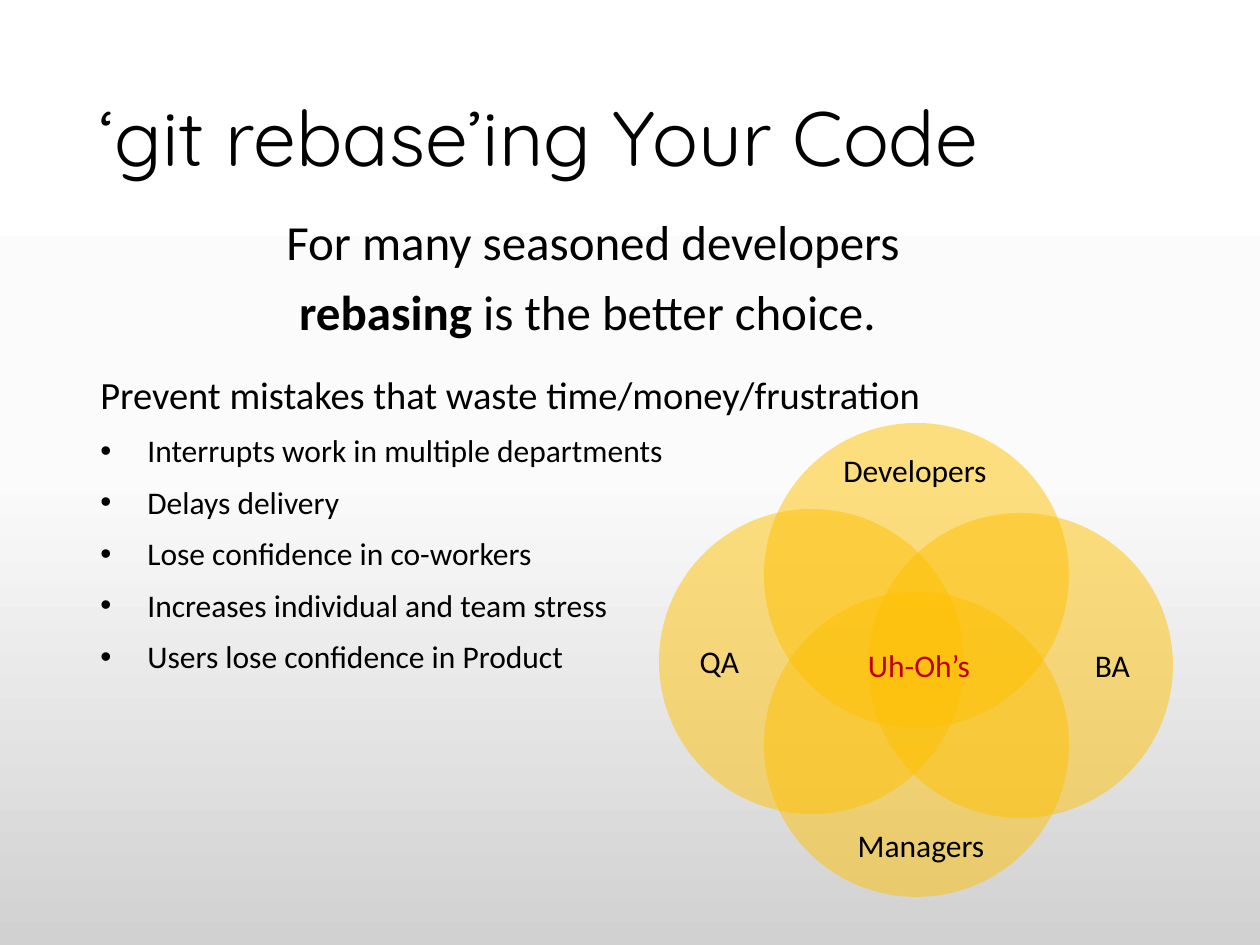
from copy import deepcopy
from pptx import Presentation
from pptx.dml.color import RGBColor as Rgb
from pptx.enum.shapes import MSO_SHAPE as Kind
from pptx.enum.text import MSO_ANCHOR as Anchor, MSO_AUTO_SIZE as Auto, PP_ALIGN as Align
from pptx.oxml.ns import qn
from pptx.oxml.xmlchemy import OxmlElement as Tag
from pptx.util import Pt

SCALE = 914400 / 126
HUES = {"ink": "000000", "alert": "C00000", "gold": "FFC000",
        "top": "FFFFFF", "mid": "FBFBFB", "low": "D1D1D1"}


def emu(px):
    return round(px * SCALE)


def hue(name):
    return Rgb.from_string(HUES[name])


def write(frame, text, size=18, font="Calibri", color="ink", lead="",
          align=Align.LEFT, line=None, before=0, hang=0):
    first = frame.paragraphs[0]
    para = frame.add_paragraph() if first.runs else first
    para.alignment = align
    para.space_before = Pt(before)
    if line:
        para.line_spacing = line
    for part, bold in ((lead, True), (text, False)):
        if part:
            run = para.add_run()
            run.text = part
            run.font.name, run.font.size, run.font.bold = font, Pt(size), bold
            run.font.color.rgb = hue(color)
    if hang:
        props = para._p.get_or_add_pPr()
        props.set("marL", str(emu(hang)))
        props.set("indent", str(-emu(hang)))
        face = Tag("a:buFont")
        face.set("typeface", "Arial")
        mark = Tag("a:buChar")
        mark.set("char", "•")
        props.extend([face, mark])


class Deck:
    """Holds the style and the current slide."""

    def __init__(self, wide, high):
        self.file = Presentation()
        self.file.slide_width, self.file.slide_height = emu(wide), emu(high)
        self.slide = self.file.slides.add_slide(self.file.slide_layouts[6])

    def shade(self, stops):
        fill = self.slide.background.fill
        fill.gradient()
        fill.gradient_angle = 270
        first = fill.gradient_stops[0]._gs
        first.addnext(deepcopy(first))
        for stop, (spot, name) in zip(fill.gradient_stops, stops):
            stop.color.rgb = hue(name)
            stop.position = spot

    def box(self, x, y, w, h, anchor=Anchor.TOP, grow=False):
        frame = self.slide.shapes.add_textbox(*map(emu, (x, y, w, h))).text_frame
        frame.word_wrap = True
        frame.vertical_anchor = anchor
        frame.auto_size = Auto.SHAPE_TO_FIT_TEXT if grow else Auto.NONE
        return frame

    def disc(self, x, y, size, color, alpha):
        shape = self.slide.shapes.add_shape(Kind.OVAL, *map(emu, (x, y, size, size)))
        shape.shadow.inherit = False
        shape.line.fill.background()
        shape.fill.solid()
        shape.fill.fore_color.rgb = hue(color)
        veil = Tag("a:alpha")
        veil.set("val", str(alpha * 1000))
        shape._element.spPr.find(qn("a:solidFill"))[0].append(veil)

    def label(self, text, x, y, w, color="ink"):
        write(self.box(x, y, w, 50, grow=True), text, color=color, align=Align.CENTER)


def main():
    deck = Deck(1260, 945)
    deck.shade([(0, "top"), (0.5, "mid"), (1, "low")])

    title = deck.box(87, 50, 1086, 183, Anchor.MIDDLE)
    write(title, "‘git rebase’ing Your Code", size=44, font="Quicksand", line=0.9)

    body = {"line": 0.9, "before": 10}
    claim = deck.box(115, 212, 956, 141)
    for lead, text in (("", "For many seasoned developers"),
                       ("rebasing ", "is the better choice. ")):
        write(claim, text, lead=lead, size=28, align=Align.CENTER, **body)

    for x, y in ((764, 423), (764, 592), (659, 509), (868, 513)):
        deck.disc(x, y, 305, "gold", 49)
    deck.label("QA", 675, 636, 89)
    deck.label("BA", 1067, 640, 91)
    deck.label("Developers", 810, 445, 210)
    deck.label("Managers", 816, 820, 210)
    deck.label("Uh-Oh’s", 834, 640, 170, "alert")

    costs = deck.box(88, 370, 890, 389)
    write(costs, "Prevent mistakes that waste time/money/frustration", size=22, **body)
    for text in ("Interrupts work in multiple departments",
                 "Delays delivery",
                 "Lose confidence in co-workers",
                 "Increases individual and team stress",
                 "Users lose confidence in Product"):
        write(costs, text, hang=47, **body)

    deck.file.save("out.pptx")


if __name__ == "__main__":
    main()
